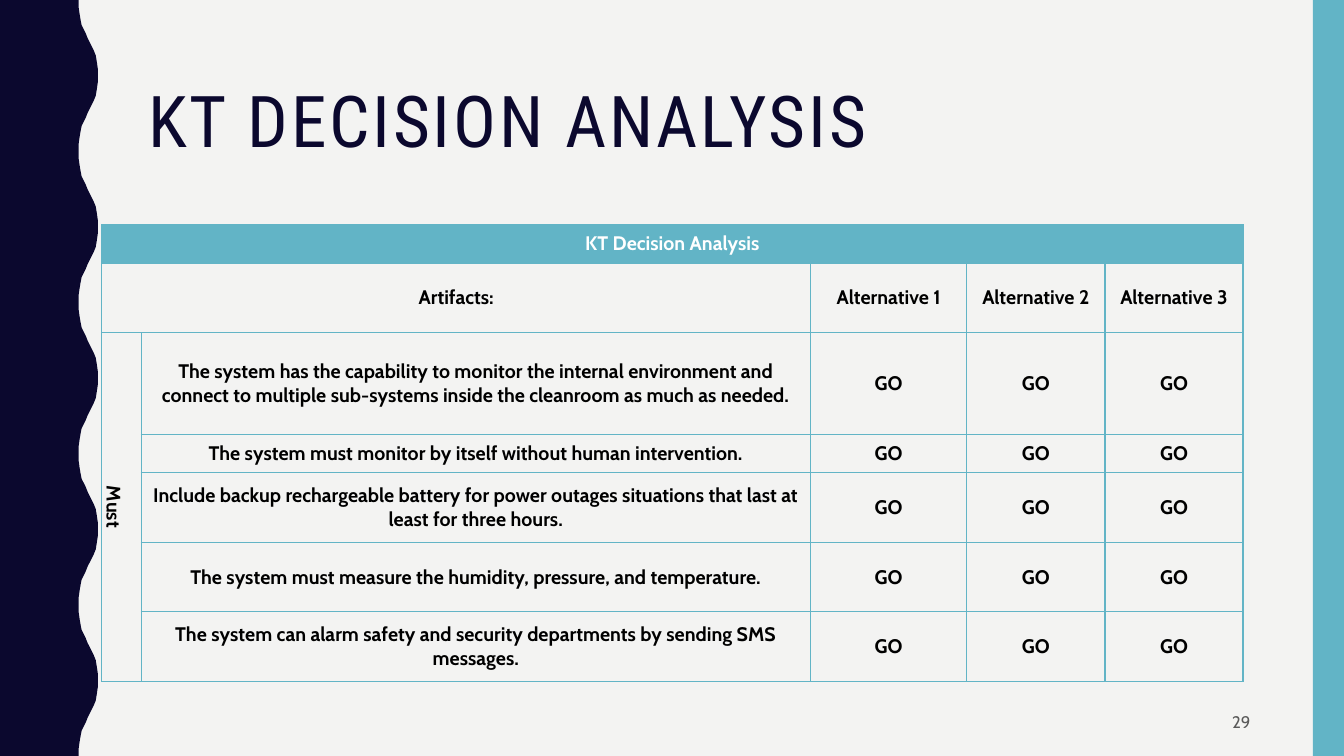
from lxml import etree
from pptx import Presentation
from pptx.dml.color import RGBColor
from pptx.enum.shapes import MSO_SHAPE
from pptx.enum.text import MSO_ANCHOR, PP_ALIGN
from pptx.oxml.ns import qn
from pptx.util import Inches, Pt

NAVY = RGBColor(0x0B, 0x08, 0x2E)
TEAL = RGBColor(0x62, 0xB4, 0xC6)
PAPER = RGBColor(0xF3, 0xF3, 0xF2)
WHITE = RGBColor(0xFF, 0xFF, 0xFF)
BLACK = RGBColor(0, 0, 0)
GREY = RGBColor(0x59, 0x59, 0x59)
RECTANGLE = MSO_SHAPE.RECTANGLE
MIDDLE = MSO_ANCHOR.MIDDLE
LEFT, CENTER, RIGHT = PP_ALIGN.LEFT, PP_ALIGN.CENTER, PP_ALIGN.RIGHT
HEAD_FONT, BODY_FONT = "Roboto Condensed", "Cabin"

WIDTH, HEIGHT = 13.33, 7.5
WAVE_PERIOD = 1.5
HALF_WAVE = [(0, 0.78), (0.07, 0.78), (0.14, 0.79), (0.2, 0.8), (0.25, 0.81),
             (0.29, 0.83), (0.33, 0.85), (0.38, 0.87), (0.42, 0.89),
             (0.46, 0.91), (0.5, 0.93), (0.55, 0.95), (0.61, 0.96),
             (0.68, 0.97), (0.75, 0.97)]

COLUMNS = [0.39, 6.64, 1.55, 1.37, 1.37]
ROWS = [0.38, 0.69, 1.01, 0.38, 0.69, 0.69, 0.69]
MUSTS = [
    "The system has the capability to monitor the internal environment and "
    "connect to multiple sub-systems inside the cleanroom as much as needed.",
    "The system must monitor by itself without human intervention.",
    "Include backup rechargeable battery for power outages situations that "
    "last at least for three hours.",
    "The system must measure the humidity, pressure, and temperature.",
    "The system can alarm safety and security departments by sending SMS "
    "messages.",
]
CELLS = [
    ["KT Decision Analysis", "", "", "", ""],
    ["Artifacts:", "", "Alternative 1", "Alternative 2", "Alternative 3"],
] + [["" if i else "Must", must] + ["GO"] * 3 for i, must in enumerate(MUSTS)]


def paint(sp, color):
    """Give a shape a plain fill with no outline or shadow."""
    sp.shadow.inherit = False
    sp.fill.solid()
    sp.fill.fore_color.rgb = color
    sp.line.fill.background()


def style(p, font, size, color, align, bold=False):
    """Set the font and alignment of a paragraph."""
    p.alignment = align
    p.font.name = font
    p.font.size = Pt(size)
    p.font.bold = bold
    p.font.color.rgb = color


def add_wave(s, x, y, height):
    """Draw the wavy band down the left edge."""
    period = HALF_WAVE + [(WAVE_PERIOD - dy, dx) for dy, dx in HALF_WAVE[-2:0:-1]]
    edge = [(dx, n * WAVE_PERIOD + dy)
            for n in range(round(height / WAVE_PERIOD)) for dy, dx in period]
    edge += [(HALF_WAVE[0][1], height), (0, height)]
    builder = s.shapes.build_freeform(Inches(x), Inches(y), scale=1.0)
    builder.add_line_segments(
        [(Inches(x + dx), Inches(y + dy)) for dx, dy in edge], close=True)
    paint(builder.convert_to_shape(), NAVY)


def add_side_bar(s, x, y, w, h):
    """Draw the plain band down the right edge."""
    sp = s.shapes.add_shape(RECTANGLE, Inches(x), Inches(y), Inches(w), Inches(h))
    paint(sp, TEAL)


def add_title(s, x, y, w, h):
    """Place and format the title placeholder."""
    sp = s.shapes.title
    sp.left, sp.top, sp.width, sp.height = map(Inches, (x, y, w, h))
    tf = sp.text_frame
    tf.text = "KT DECISION ANALYSIS"
    tf.vertical_anchor = MIDDLE
    p = tf.paragraphs[0]
    p.line_spacing = 0.9
    style(p, HEAD_FONT, 51, NAVY, LEFT)
    p.runs[0].font._element.set("spc", "200")


def add_page_number(s, x, y, w, h):
    """Place the page number at the right of its box."""
    sp = s.shapes.add_textbox(Inches(x), Inches(y), Inches(w), Inches(h))
    tf = sp.text_frame
    tf.word_wrap = True
    tf.vertical_anchor = MIDDLE
    tf.text = "29"
    style(tf.paragraphs[0], BODY_FONT, 12, GREY, RIGHT)


def add_borders(cell):
    """Draw a thin teal line on all four sides of a cell."""
    tc_pr = cell._tc.get_or_add_tcPr()
    for side in ("a:lnL", "a:lnR", "a:lnT", "a:lnB"):
        line = etree.SubElement(tc_pr, qn(side), w=str(Pt(1)))
        fill = etree.SubElement(line, qn("a:solidFill"))
        etree.SubElement(fill, qn("a:srgbClr"), val=str(TEAL))


def format_cell(cell, text, is_header):
    """Fill one table cell with its text, borders and colours."""
    add_borders(cell)
    cell.margin_left = cell.margin_right = Inches(0.07)
    cell.margin_top = cell.margin_bottom = 0
    cell.vertical_anchor = MIDDLE
    if is_header:
        cell.fill.solid()
        cell.fill.fore_color.rgb = TEAL
    else:
        cell.fill.background()
    cell.text = text
    style(cell.text_frame.paragraphs[0], BODY_FONT, 14,
          WHITE if is_header else BLACK, CENTER, bold=True)


def add_decision_table(s, x, y):
    """Build the decision table from its top left corner."""
    table = s.shapes.add_table(
        len(ROWS), len(COLUMNS), Inches(x), Inches(y),
        Inches(sum(COLUMNS)), Inches(sum(ROWS))).table
    table.horz_banding = False
    for column, width in zip(table.columns, COLUMNS):
        column.width = Inches(width)
    for row, height in zip(table.rows, ROWS):
        row.height = Inches(height)
    for r, texts in enumerate(CELLS):
        for c, text in enumerate(texts):
            format_cell(table.cell(r, c), text, r == 0)
    table.cell(0, 0).merge(table.cell(0, 4))
    table.cell(1, 0).merge(table.cell(1, 1))
    must = table.cell(2, 0)
    must.merge(table.cell(6, 0))
    must._tc.get_or_add_tcPr().set("vert", "vert")


def main():
    """Build and save the slide."""
    prs = Presentation()
    prs.slide_width, prs.slide_height = Inches(WIDTH), Inches(HEIGHT)
    s = prs.slides.add_slide(prs.slide_layouts[5])
    s.background.fill.solid()
    s.background.fill.fore_color.rgb = PAPER
    add_wave(s, 0, 0, HEIGHT)
    add_side_bar(s, 13.02, 0, 0.31, HEIGHT)
    add_title(s, 1.37, 0.42, 11.13, 1.63)
    add_page_number(s, 9.42, 6.97, 3.08, 0.38)
    add_decision_table(s, 1.01, 2.23)
    prs.save("out.pptx")


if __name__ == "__main__":
    main()
